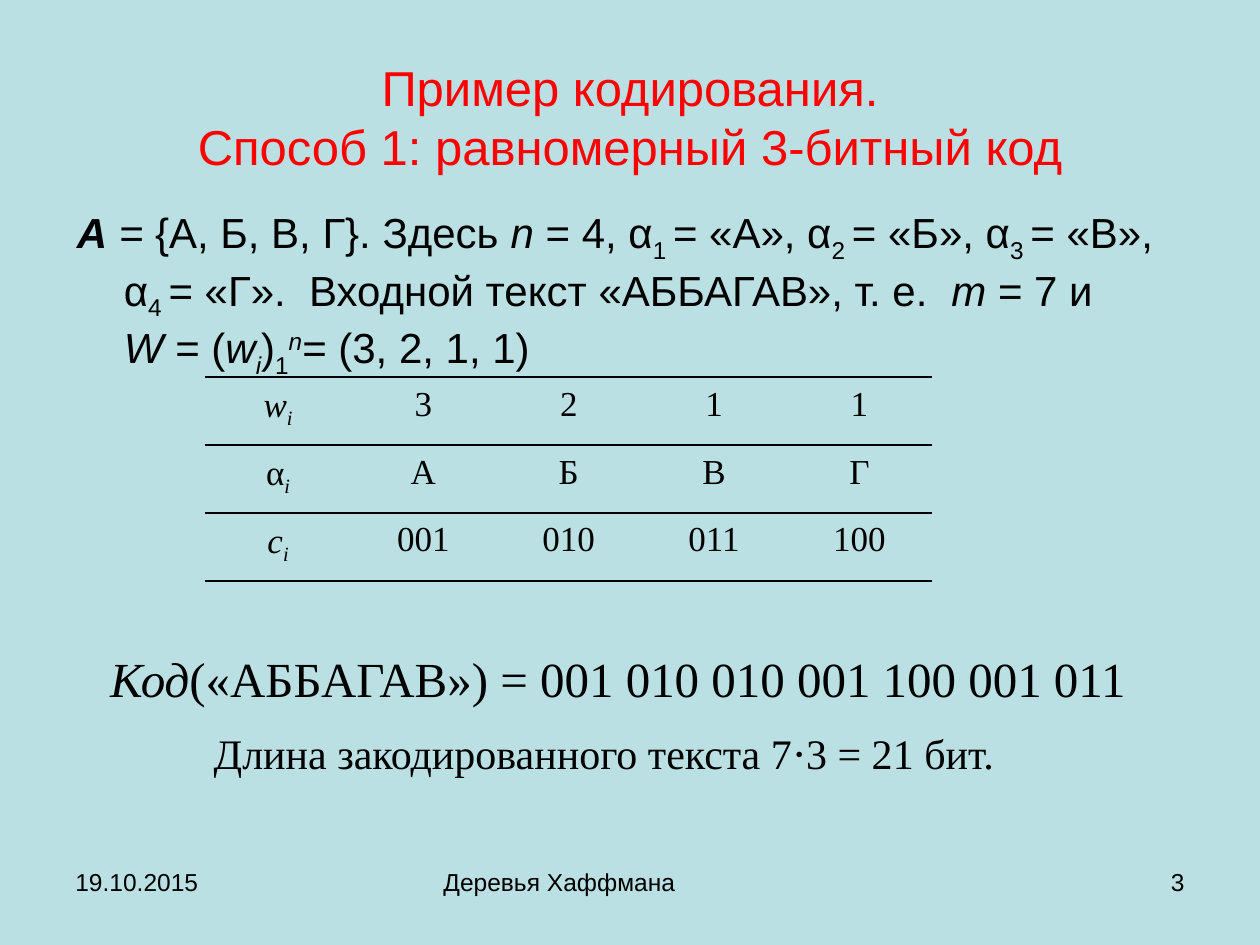
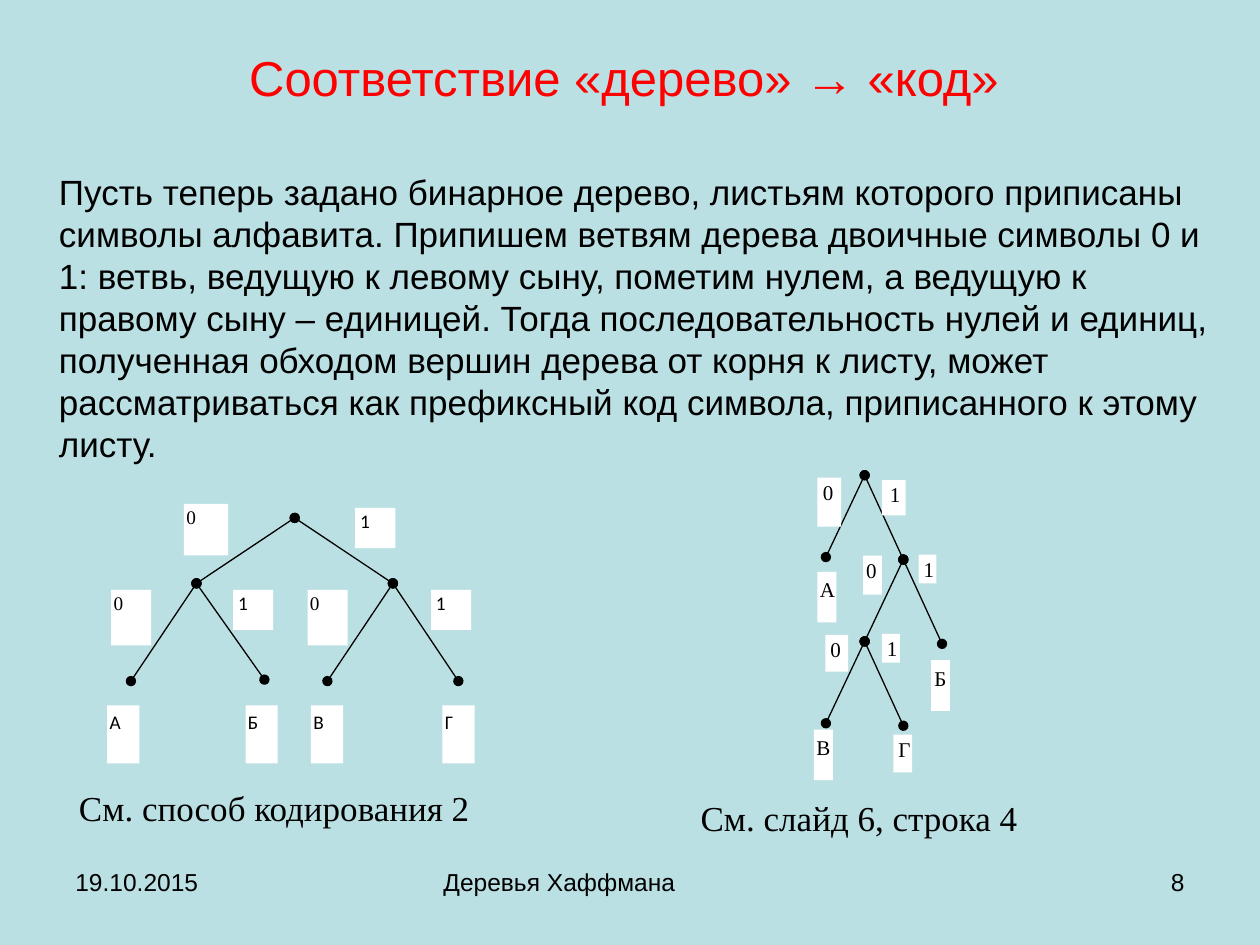
from lxml import etree
from pptx import Presentation
from pptx.dml.color import RGBColor
from pptx.enum.shapes import MSO_CONNECTOR, MSO_SHAPE
from pptx.enum.text import MSO_ANCHOR, PP_ALIGN
from pptx.oxml.ns import qn
from pptx.util import Cm, Pt

LEFT, CENTER, RIGHT = PP_ALIGN.LEFT, PP_ALIGN.CENTER, PP_ALIGN.RIGHT
TOP, MIDDLE = MSO_ANCHOR.TOP, MSO_ANCHOR.MIDDLE
RECTANGLE, STRAIGHT = MSO_SHAPE.RECTANGLE, MSO_CONNECTOR.STRAIGHT
hex_color = RGBColor.from_string

BACKGROUND, TITLE_RED, BLACK, WHITE = "BBE0E3", "FF0000", "000000", "FFFFFF"
SANS, SERIF, LABEL_FONT = "Arial", "Times New Roman", "Calibri"
BASELINES = {"_": "-25000", "^": "30000"}


def write(frame, runs, font, size, align=LEFT, color=BLACK):
    """Fill one paragraph; runs are (text, style), style from b, i, _ (sub), ^ (super)."""
    paragraph = frame.paragraphs[0]
    paragraph.alignment = align
    paragraph.font.name, paragraph.font.size = font, Pt(size)
    paragraph.font.color.rgb = hex_color(color)
    if isinstance(runs, str):
        paragraph.text = runs
        return paragraph
    for text, style in runs:
        run = paragraph.add_run()
        run.text = text
        if "b" in style:
            run.font.bold = True
        if "i" in style:
            run.font.italic = True
        for mark, baseline in BASELINES.items():
            if mark in style:
                run.font._element.set("baseline", baseline)
    return paragraph


def add_text(slide, box, runs, font, size, align=LEFT, color=BLACK, anchor=TOP,
             fill=None, insets=(0.25, 0.13, 0.25, 0.13), wrap=True):
    """Place text in a box (left, top, width, height in cm), on a plain patch if filled."""
    place = [Cm(length) for length in box]
    if fill:
        holder = slide.shapes.add_shape(RECTANGLE, *place)
        holder.shadow.inherit = False
        holder.fill.solid()
        holder.fill.fore_color.rgb = hex_color(fill)
        holder.line.fill.background()
    else:
        holder = slide.shapes.add_textbox(*place)
    frame = holder.text_frame
    frame.word_wrap = wrap
    frame.vertical_anchor = anchor
    (frame.margin_left, frame.margin_top,
     frame.margin_right, frame.margin_bottom) = [Cm(inset) for inset in insets]
    return write(frame, runs, font, size, align, color)


deck = Presentation()
deck.slide_width, deck.slide_height = Cm(25.4), Cm(19.05)

# Background, title and footer of every slide
headings = [
    ("Пример кодирования.\vСпособ 1: равномерный 3-битный код", (1.27, 0.76, 22.86, 3.18), "3"),
    ("Соответствие «дерево» → «код» ", (2.54, 0, 20.35, 3.12), "8"),
]
slides = []
for title, title_box, number in headings:
    slide = deck.slides.add_slide(deck.slide_layouts[6])
    slide.background.fill.solid()
    slide.background.fill.fore_color.rgb = hex_color(BACKGROUND)
    add_text(slide, title_box, title, SANS, 28, CENTER, TITLE_RED, MIDDLE)
    for left, width, footer, align in [(1.27, 5.92, "19.10.2015", LEFT),
                                       (8.69, 8.05, "Деревья Хаффмана", LEFT),
                                       (18.21, 5.92, number, RIGHT)]:
        add_text(slide, (left, 17.35, width, 1.32), footer, SANS, 14, align)
    slides.append(slide)
coding_slide, tree_slide = slides

# Slide 1: the alphabet and its weights
alphabet = [
    ("A\u00a0", "bi"), ("=\u00a0", "i"), ("{А, Б, В, Г}. Здесь ", ""),
    ("n\u00a0", "i"), ("=\u00a04, α", ""),
    ("1\u00a0", "_"), ("=\u00a0«А», α", ""), ("2\u00a0", "_"), ("=\u00a0«Б», α", ""),
    ("3\u00a0", "_"), ("=\u00a0«В», α", ""), ("4\u00a0", "_"),
    ("=\u00a0«Г».  Входной текст «АББАГАВ», т.\u00a0е.  ", ""),
    ("m\u00a0", "i"), ("=\u00a07 и ", ""), ("W\u00a0", "i"), ("=\u00a0(", ""),
    ("w", "i"), ("i", "i_"), (")", ""), ("1", "_"), ("n", "i^"),
    ("=\u00a0(3,\u00a02,\u00a01,\u00a01)", ""),
]
statement = add_text(coding_slide, (1.3, 4.04, 22.89, 2.57), alphabet, SANS, 24)
statement.space_before = Pt(4.8)
hanging = statement._p.get_or_add_pPr()
hanging.set("marL", str(Cm(0.95)))
hanging.set("indent", str(-Cm(0.95)))

# Slide 1: code table with horizontal rules only
code_rows = [
    [[("w", "i"), ("i", "i_")], "3", "2", "1", "1"],
    [[("α", ""), ("i", "i_")], "А", "Б", "В", "Г"],
    [[("с", "i"), ("i", "i_")], "001", "010", "011", "100"],
]
codes = coding_slide.shapes.add_table(3, 5, Cm(4.14), Cm(7.6), Cm(14.65), Cm(4.11)).table
codes.first_row = codes.horz_banding = False
for column in codes.columns:
    column.width = Cm(2.93)
for row, entries in zip(codes.rows, code_rows):
    row.height = Cm(1.37)
    for cell, entry in zip(row.cells, entries):
        cell.margin_left = cell.margin_right = Cm(0.18)
        cell.margin_top = cell.margin_bottom = 0
        paragraph = write(cell.text_frame, entry, SERIF, 20, CENTER)
        paragraph.line_spacing = 1.2
        paragraph.space_before = paragraph.space_after = Pt(3)
        borders = cell._tc.get_or_add_tcPr()
        for side in ("lnL", "lnR"):
            etree.SubElement(etree.SubElement(borders, qn("a:" + side)), qn("a:noFill"))
        for side in ("lnT", "lnB"):
            rule = etree.SubElement(borders, qn("a:" + side), w=str(Pt(1)))
            ink = etree.SubElement(rule, qn("a:solidFill"))
            etree.SubElement(ink, qn("a:srgbClr"), val=BLACK)
        cell.fill.background()

# Slide 1: the result
add_text(coding_slide, (1.57, 12.95, 21.77, 1.45),
         [("Код", "i"), ("(«АББАГАВ»)\u00a0=\u00a0001 010 010 001 100 001 011", "")],
         SERIF, 28, CENTER)
add_text(coding_slide, (1.98, 14.53, 20.6, 1.3),
         "Длина закодированного текста 7⋅3\u00a0=\u00a021 бит. ", SERIF, 24, CENTER)

# Slide 2: explanation
explanation = add_text(
    tree_slide, (0.94, 3.3, 23.83, 6.27),
    "Пусть теперь задано бинарное дерево, листьям которого приписаны символы алфавита. "
    "Припишем ветвям дерева двоичные символы 0 и 1: ветвь, ведущую к левому сыну, пометим "
    "нулем, а ведущую к правому сыну – единицей. Тогда последовательность нулей и единиц, "
    "полученная обходом вершин дерева от корня к листу, может рассматриваться как "
    "префиксный код символа, приписанного к этому листу.", SANS, 20)
explanation.space_before = Pt(4)

# Slide 2: branches as (parent, horizontal step, vertical step) to the son
balanced_root, balanced_left, balanced_right = (5.94, 10.44), (3.96, 11.76), (7.92, 11.76)
skewed_root, skewed_inner, skewed_low = (17.43, 9.58), (18.21, 11.28), (17.43, 12.93)
branches = [
    (balanced_root, -1.98, 1.32), (balanced_root, 1.98, 1.32),
    (balanced_left, -1.32, 1.97), (balanced_left, 1.37, 1.94),
    (balanced_right, -1.32, 1.97), (balanced_right, 1.32, 1.97),
]
for parent in (skewed_root, skewed_inner, skewed_low):
    branches += [(parent, -0.78, 1.65), (parent, 0.78, 1.7)]
for (x, y), across, down in branches:
    branch = tree_slide.shapes.add_connector(
        STRAIGHT, Cm(x), Cm(y), Cm(x + across), Cm(y + down))
    branch.line.color.rgb = hex_color(BLACK)
    branch.line.width = Pt(0.75)
    stroke = branch.line._get_or_add_ln()
    for end in ("a:headEnd", "a:tailEnd"):
        etree.SubElement(stroke, qn(end), type="oval")
    etree.SubElement(branch._element.spPr, qn("a:effectLst"))

# Slide 2: labels of branches and leaves
LEAF, ZERO, ONE = (0.05, 0.1, 0.05, 0.1), (0.05, 0.03, 0.1, 0.03), (0.1, 0.03, 0.05, 0.03)
balanced_labels = [
    ("0", SERIF, ZERO, (3.71, 10.16, 0.89, 1.04)),
    ("1", LABEL_FONT, ONE, (7.16, 10.24, 0.81, 0.81)),
]
for left in (2.24, 6.2):
    balanced_labels.append(("0", SERIF, ZERO, (left, 11.89, 0.81, 1.12)))
for left in (4.7, 8.69):
    balanced_labels.append(("1", LABEL_FONT, ONE, (left, 11.89, 0.81, 0.81)))
for letter, left in zip("АБВГ", (2.16, 4.95, 6.27, 8.92)):
    balanced_labels.append((letter, LABEL_FONT, LEAF, (left, 14.22, 0.65, 1.17)))
skewed_labels = [
    ("0", SERIF, ZERO, (16.48, 9.63, 0.48, 0.99)),
    ("1", SERIF, ONE, (17.78, 9.68, 0.48, 0.71)),
    ("0", SERIF, ZERO, (17.4, 11.2, 0.38, 0.79)),
    ("1", SERIF, ONE, (18.52, 11.18, 0.36, 0.58)),
    ("0", SERIF, ZERO, (16.64, 12.8, 0.46, 0.74)),
    ("1", SERIF, ONE, (17.78, 12.78, 0.36, 0.58)),
    ("А", SERIF, LEAF, (16.48, 11.53, 0.38, 1.02)),
    ("Б", SERIF, LEAF, (18.77, 13.31, 0.38, 1.02)),
    ("В", SERIF, LEAF, (16.41, 14.71, 0.38, 1.02)),
    ("Г", SERIF, ONE, (18.01, 14.81, 0.38, 0.76)),
]
for labels, size, align in [(balanced_labels, 11, LEFT), (skewed_labels, 12, CENTER)]:
    for symbol, font, insets, box in labels:
        add_text(tree_slide, box, symbol, font, size, align, fill=WHITE, insets=insets)

# Slide 2: captions under the trees
for caption, box in [("См. способ кодирования 2", (1.3, 15.72, 8.46, 1.12)),
                     ("См. слайд 6, строка 4", (13.84, 15.93, 6.96, 1.12))]:
    add_text(tree_slide, box, caption, SERIF, 20, CENTER, wrap=False)

deck.save("out.pptx")
